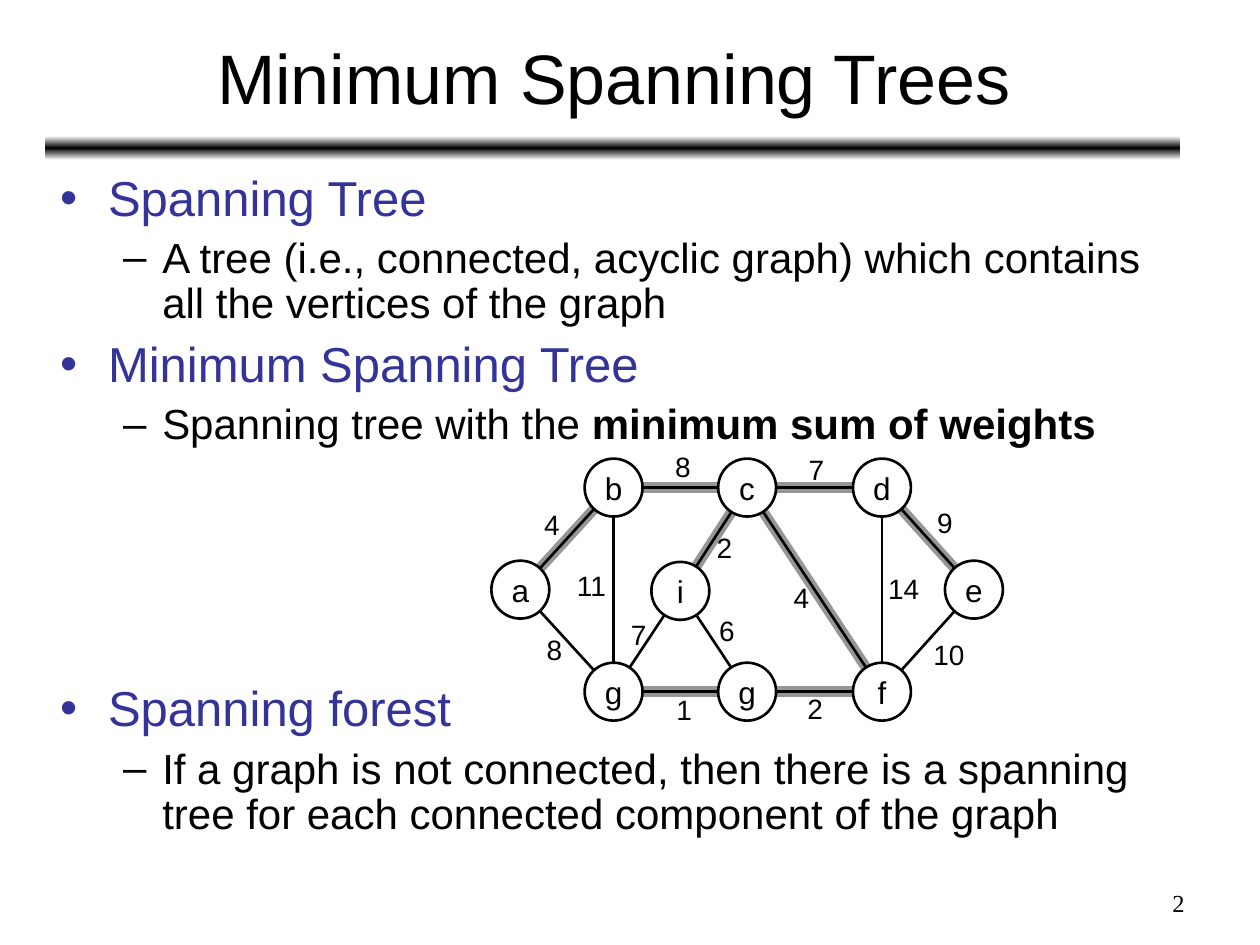
from copy import deepcopy
from math import hypot

from lxml.etree import SubElement
from pptx import Presentation
from pptx.dml.color import RGBColor
from pptx.enum.shapes import MSO_CONNECTOR, MSO_SHAPE
from pptx.enum.text import MSO_ANCHOR, PP_ALIGN
from pptx.oxml.ns import qn
from pptx.util import Inches, Pt

BLACK, WHITE, BLUE, GRAY = "000000", "FFFFFF", "333399", "969696"
RADIUS = 0.23

# Each outline entry: level, text, bold ending, space before in points
OUTLINE = [
    (0, "Spanning Tree", "", 7),
    (1, "A tree (i.e., connected, acyclic graph) which contains "
        "all the vertices of the graph", "", 6),
    (0, "Minimum Spanning Tree", "", 7),
    (1, "Spanning tree with the ", "minimum sum of weights", 6),
    (0, "Spanning forest", "", 134.5),  # leaves room for the graph
    (1, "If a graph is not connected, then there is a spanning "
        "tree for each connected component of the graph", "", 6),
]
# Each level: size, colour, bullet, left margin, hanging indent
LEVELS = [(28, BLUE, "•", 0.38, 0.38), (24, BLACK, "–", 0.81, 0.31)]

# Each vertex: label and centre
TOP, MIDDLE, BOTTOM = 3.87, 4.68, 5.49
VERTICES = {
    "a": ("a", 4.13, MIDDLE),
    "b": ("b", 4.87, TOP),
    "c": ("c", 5.93, TOP),
    "d": ("d", 7.0, TOP),
    "e": ("e", 7.73, MIDDLE),
    "g left": ("g", 4.87, BOTTOM),
    "g right": ("g", 5.93, BOTTOM),
    "f": ("f", 7.0, BOTTOM),
    "i": ("i", 5.4, MIDDLE + 0.01),
}
# Each edge: ends, weight, place of the weight, whether it is in the tree
EDGES = [
    ("a", "b", "4", 4.22, 3.98, True),
    ("b", "c", "8", 5.26, 3.52, True),
    ("c", "d", "7", 6.32, 3.54, True),
    ("a", "g left", "8", 4.24, 4.97, False),
    ("b", "g left", "11", 4.48, 4.46, False),
    ("g left", "g right", "1", 5.27, 5.45, True),
    ("g right", "f", "2", 6.31, 5.44, True),
    ("g left", "i", "7", 4.91, 4.85, False),
    ("c", "i", "2", 5.59, 4.16, True),
    ("c", "f", "4", 6.2, 4.56, True),
    ("d", "f", "14", 6.95, 4.49, False),
    ("d", "e", "9", 7.34, 3.96, True),
    ("e", "f", "10", 7.31, 5.01, False),
    ("i", "g right", "6", 5.61, 4.82, False),
]


def color(value):
    return RGBColor.from_string(value)


def rim_to_rim(start, end):
    """Ends of the line between two vertices, from circle to circle."""
    _, x1, y1 = VERTICES[start]
    _, x2, y2 = VERTICES[end]
    share = RADIUS / hypot(x2 - x1, y2 - y1)
    dx, dy = (x2 - x1) * share, (y2 - y1) * share
    return x1 + dx, y1 + dy, x2 - dx, y2 - dy


class SlideBuilder:
    def __init__(self, slide, font="Arial"):
        self.slide = slide
        self.font = font

    def style(self, paragraph, size, value=BLACK, font=None):
        paragraph.font.name = font or self.font
        paragraph.font.size = Pt(size)
        paragraph.font.color.rgb = color(value)

    def text_box(self, left, top, width, height):
        box = self.slide.shapes.add_textbox(
            Inches(left), Inches(top), Inches(width), Inches(height))
        box.text_frame.word_wrap = True
        return box.text_frame

    def text(self, text, left, top, width, height, size,
             align=PP_ALIGN.LEFT, anchor=MSO_ANCHOR.TOP, font=None):
        frame = self.text_box(left, top, width, height)
        frame.vertical_anchor = anchor
        paragraph = frame.paragraphs[0]
        paragraph.text = text
        paragraph.alignment = align
        self.style(paragraph, size, font=font)

    def bar(self, left, top, width, height, stops):
        shape = self.slide.shapes.add_shape(
            MSO_SHAPE.ROUNDED_RECTANGLE,
            Inches(left), Inches(top), Inches(width), Inches(height))
        shape.shadow.inherit = False
        shape.line.fill.background()
        shape.fill.gradient()
        shape.fill.gradient_angle = 90
        stop_list = shape._element.spPr.find(".//" + qn("a:gsLst"))
        stop_list.append(deepcopy(stop_list[-1]))
        for stop, (position, value) in zip(shape.fill.gradient_stops, stops):
            stop.position = position
            stop.color.rgb = color(value)

    def outline(self, entries, left, top, width, height):
        frame = self.text_box(left, top, width, height)
        for index, (level, text, bold_text, space) in enumerate(entries):
            paragraph = frame.add_paragraph() if index else frame.paragraphs[0]
            size, value, bullet, margin, hanging = LEVELS[level]
            paragraph.level = level
            paragraph.line_spacing = 0.9
            paragraph.space_before = Pt(space)
            self.bullet(paragraph, bullet, value, margin, hanging)
            self.style(paragraph, size, value)
            paragraph.add_run().text = text
            if bold_text:
                run = paragraph.add_run()
                run.text = bold_text
                run.font.bold = True

    def bullet(self, paragraph, character, value, margin, hanging):
        properties = paragraph._p.get_or_add_pPr()
        properties.set("marL", str(Inches(margin)))
        properties.set("indent", str(-Inches(hanging)))
        bullet_color = SubElement(properties, qn("a:buClr"))
        SubElement(bullet_color, qn("a:srgbClr"), val=value)
        SubElement(properties, qn("a:buFont"), typeface=self.font)
        SubElement(properties, qn("a:buChar"), char=character)

    def line(self, x1, y1, x2, y2, value, width):
        connector = self.slide.shapes.add_connector(
            MSO_CONNECTOR.STRAIGHT,
            Inches(x1), Inches(y1), Inches(x2), Inches(y2))
        connector.line.color.rgb = color(value)
        connector.line.width = Pt(width)
        SubElement(connector._element.spPr, qn("a:effectLst"))

    def vertex(self, label, x, y):
        shape = self.slide.shapes.add_shape(
            MSO_SHAPE.OVAL, Inches(x - RADIUS), Inches(y - RADIUS),
            Inches(2 * RADIUS), Inches(2 * RADIUS))
        shape.shadow.inherit = False
        shape.fill.background()
        shape.line.color.rgb = color(BLACK)
        shape.line.width = Pt(1.5)
        frame = shape.text_frame
        frame.word_wrap = False
        frame.vertical_anchor = MSO_ANCHOR.MIDDLE
        paragraph = frame.paragraphs[0]
        paragraph.text = label
        paragraph.alignment = PP_ALIGN.CENTER
        self.style(paragraph, 18)


def main():
    presentation = Presentation()
    presentation.slide_width = Inches(10)
    presentation.slide_height = Inches(7.5)
    slide = presentation.slides.add_slide(presentation.slide_layouts[6])
    builder = SlideBuilder(slide)

    # Heading and outline
    builder.bar(0.36, 1.08, 9.01, 0.19, [(0, WHITE), (0.5, BLACK), (1, WHITE)])
    builder.text("Minimum Spanning Trees", 0.37, 0.11, 9, 0.99, 40,
                 PP_ALIGN.CENTER, MSO_ANCHOR.MIDDLE)
    builder.outline(OUTLINE, 0.38, 1.33, 9, 5.71)

    # Graph: tree highlights, vertices, edges, weights
    for start, end, *_, in_tree in EDGES:
        if in_tree:
            builder.line(*rim_to_rim(start, end), GRAY, 6)
    for label, x, y in VERTICES.values():
        builder.vertex(label, x, y)
    for start, end, *_ in EDGES:
        builder.line(*rim_to_rim(start, end), BLACK, 1.5)
    for _, _, weight, left, top, _ in EDGES:
        builder.text(weight, left, top, 0.2 + 0.14 * len(weight), 0.37, 16)

    # Page number
    builder.text("2", 7.17, 7, 2.33, 0.35, 14, PP_ALIGN.RIGHT,
                 font="Times New Roman")
    presentation.save("out.pptx")


if __name__ == "__main__":
    main()
